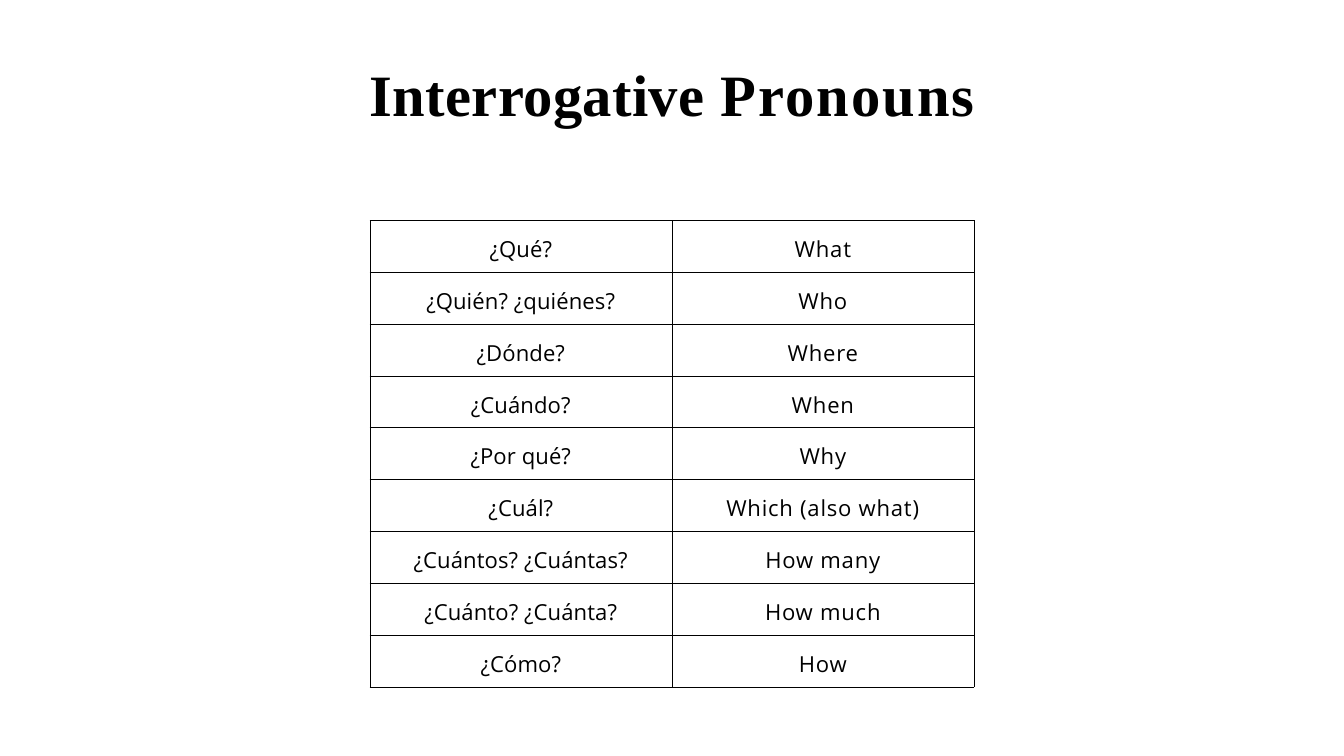
from lxml.etree import SubElement
from pptx import Presentation
from pptx.dml.color import RGBColor
from pptx.enum.text import PP_ALIGN
from pptx.oxml.ns import qn
from pptx.util import Cm, Pt

COLORS = {"ink": "000000", "paper": "FFFFFF"}
TITLE_WORDS = [("Interrogative ", 0.5), ("Pronouns", 2.4)]
PRONOUNS = [
    ("¿Qué?", "What"),
    ("¿Quién? ¿quiénes?", "Who"),
    ("¿Dónde?", "Where"),
    ("¿Cuándo?", "When"),
    ("¿Por qué?", "Why"),
    ("¿Cuál?", "Which (also what)"),
    ("¿Cuántos? ¿Cuántas?", "How many"),
    ("¿Cuánto? ¿Cuánta?", "How much"),
    ("¿Cómo?", "How"),
]
LANGUAGE_SPACING = (0.1, 0.9)


def style_run(run, font_name, size, spacing, bold=False):
    run.font.name = font_name
    run.font.size = Pt(size)
    run.font.bold = bold
    run.font.color.rgb = RGBColor.from_string(COLORS["ink"])
    run._r.get_or_add_rPr().set("spc", str(round(spacing * 100)))


def add_borders(cell):
    properties = cell._tc.get_or_add_tcPr()
    for side in ("a:lnL", "a:lnR", "a:lnT", "a:lnB"):
        border = SubElement(properties, qn(side), w=str(Pt(1)))
        fill = SubElement(border, qn("a:solidFill"))
        SubElement(fill, qn("a:srgbClr"), val=COLORS["ink"])


def add_title(slide, left, top, width, height):
    frame = slide.shapes.add_textbox(left, top, width, height).text_frame
    frame.word_wrap = True
    frame.margin_left = frame.margin_right = frame.margin_bottom = 0
    frame.margin_top = Cm(0.05)
    heading = frame.paragraphs[0]
    heading.space_before = Pt(1.2)
    for word, spacing in TITLE_WORDS:
        run = heading.add_run()
        run.text = word
        style_run(run, "Times New Roman", 69, spacing, bold=True)


def add_pronoun_table(slide, left, top, width, height):
    table = slide.shapes.add_table(
        len(PRONOUNS), len(LANGUAGE_SPACING), left, top, width, height
    ).table
    table.first_row = table.horz_banding = False
    for row, pair in enumerate(PRONOUNS):
        for column, (word, spacing) in enumerate(zip(pair, LANGUAGE_SPACING)):
            cell = table.cell(row, column)
            cell.margin_left = cell.margin_right = cell.margin_bottom = 0
            cell.margin_top = Cm(0.56)
            add_borders(cell)
            cell.fill.solid()
            cell.fill.fore_color.rgb = RGBColor.from_string(COLORS["paper"])
            paragraph = cell.text_frame.paragraphs[0]
            paragraph.text = word
            paragraph.alignment = PP_ALIGN.CENTER
            style_run(paragraph.runs[0], "Open Sans", 26, spacing)


presentation = Presentation()
presentation.slide_width = Cm(55.85)
presentation.slide_height = Cm(31.42)
slide = presentation.slides.add_slide(presentation.slide_layouts[6])
add_title(slide, Cm(15.35), Cm(2.34), Cm(25.17), Cm(3))
add_pronoun_table(slide, Cm(15.37), Cm(9.17), Cm(25.1), Cm(19.38))
presentation.save("out.pptx")
